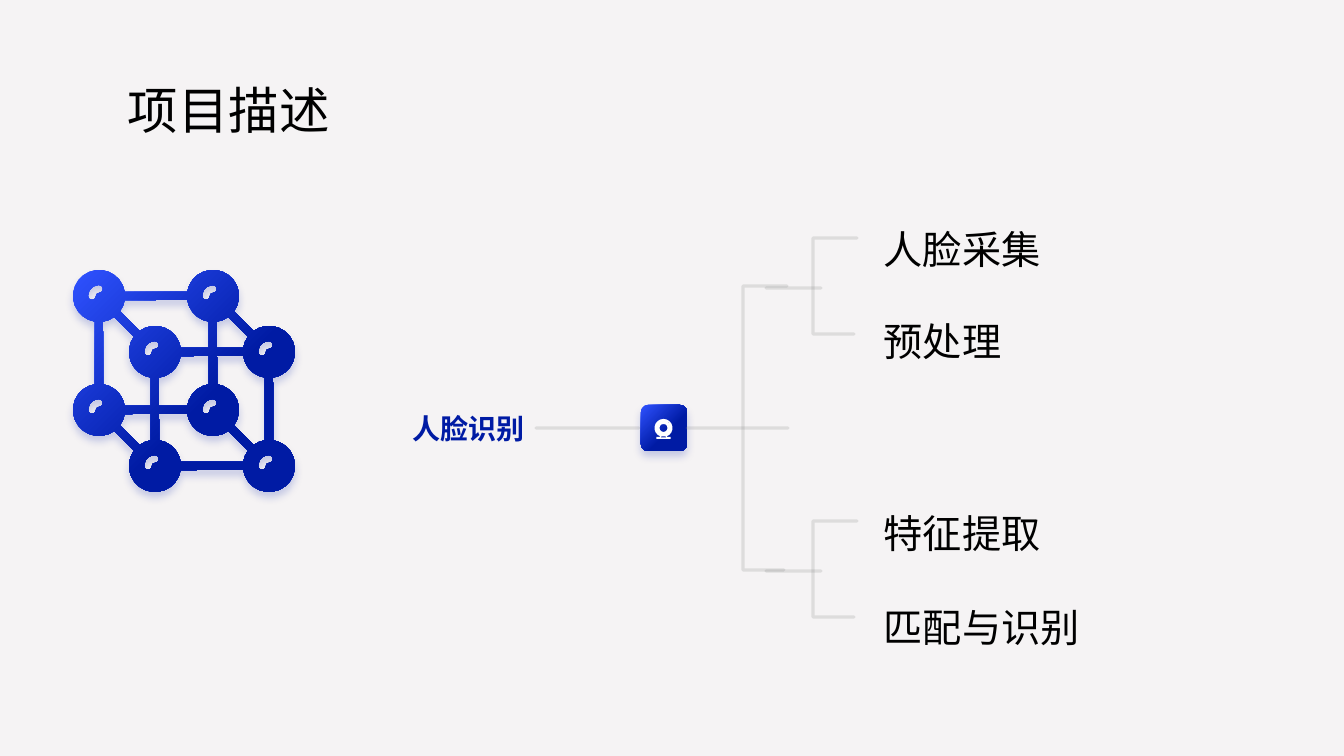
import math

import lxml.etree
import pptx
import pptx.dml.color
import pptx.enum.shapes
import pptx.enum.text
import pptx.oxml.ns
import pptx.util

SLIDE_W, SLIDE_H = 1344, 756
EMU_PER_PX = 12192000 / SLIDE_W
FONT = "Noto Sans CJK SC"
BLACK, WHITE, PAPER, GREY = "000000", "FFFFFF", "F5F3F4", "808080"
BRIGHT, DEEP = "2F52FF", "001BA4"
SHAPES = pptx.enum.shapes.MSO_SHAPE
ANCHORS = pptx.enum.text.MSO_ANCHOR
FITS = pptx.enum.text.MSO_AUTO_SIZE


def px(length):
    """Turn pixels into EMU."""
    return round(length * EMU_PER_PX)


def rgb(code):
    """Turn a hex string into a colour."""
    return pptx.dml.color.RGBColor.from_string(code)


def add_xml(parent, tag, **attributes):
    """Append a drawing element with the given attributes."""
    child = lxml.etree.SubElement(parent, pptx.oxml.ns.qn(tag))
    for key, value in attributes.items():
        child.set(key, str(value))
    return child


def stroke(item):
    """Give a shape or connector the pale round-ended tree line."""
    item.line.color.rgb = rgb(GREY)
    item.line.width = pptx.util.Pt(2.25)
    outline = item.element.spPr.find(pptx.oxml.ns.qn("a:ln"))
    outline.set("cap", "rnd")
    ink = next(outline.iter(pptx.oxml.ns.qn("a:srgbClr")))
    add_xml(ink, "a:alpha", val=20000)


def paint(shape, color):
    """Fill a shape with one colour, without outline or shadow."""
    shape.shadow.inherit = False
    shape.line.fill.background()
    shape.fill.solid()
    shape.fill.fore_color.rgb = rgb(color)


def glow(shape):
    """Fill a shape with the blue gradient and a soft blue shadow."""
    shape.shadow.inherit = False
    shape.line.fill.background()
    shape.fill.gradient()
    shape.fill.gradient_angle = 315
    for stop, color, place in zip(shape.fill.gradient_stops, (BRIGHT, DEEP), (0, 0.6)):
        stop.color.rgb = rgb(color)
        stop.position = place
    effects = shape.element.spPr.find(pptx.oxml.ns.qn("a:effectLst"))
    shadow = add_xml(effects, "a:outerShdw", blurRad=pptx.util.Pt(6),
                     dist=pptx.util.Pt(4), dir=5400000, algn="t", rotWithShape=0)
    ink = add_xml(shadow, "a:srgbClr", val=DEEP)
    add_xml(ink, "a:alpha", val=20000)


def arc(x, y, radius, start, end, step=15):
    """List points along an arc, in clockwise degrees."""
    count = max(1, math.ceil(abs(end - start) / step))
    angles = [math.radians(start + (end - start) * i / count) for i in range(count + 1)]
    return [(x + radius * math.cos(a), y + radius * math.sin(a)) for a in angles]


def add_outline(slide, contours, close=True):
    """Add one freeform made of several contours."""
    builder = None
    for contour in contours:
        corners = [(px(x), px(y)) for x, y in contour]
        if builder is None:
            builder = slide.shapes.build_freeform(*corners[0], scale=1.0)
        else:
            builder.move_to(*corners[0])
        builder.add_line_segments(corners[1:], close=close)
    return builder.convert_to_shape()


def add_bracket(slide, points):
    """Add an open grey bracket."""
    bracket = add_outline(slide, [points], close=False)
    bracket.shadow.inherit = False
    bracket.fill.background()
    stroke(bracket)


def add_stem(slide, left, right, y):
    """Add a horizontal grey connector."""
    stem = slide.shapes.add_connector(pptx.enum.shapes.MSO_CONNECTOR.STRAIGHT,
                                      px(left), px(y), px(right), px(y))
    stroke(stem)
    add_xml(stem.element.spPr, "a:effectLst")


def add_label(slide, box, text, size, color=BLACK, bold=False,
              anchor=ANCHORS.TOP, spacing=1.0, fit=FITS.SHAPE_TO_FIT_TEXT):
    """Add one line of text in a box."""
    label = slide.shapes.add_textbox(*map(px, box))
    frame = label.text_frame
    frame.word_wrap = True
    frame.auto_size = fit
    frame.vertical_anchor = anchor
    paragraph = frame.paragraphs[0]
    paragraph.line_spacing = spacing
    run = paragraph.add_run()
    run.text = text
    run.font.name = FONT
    run.font.size = pptx.util.Pt(size)
    run.font.bold = bold
    run.font.color.rgb = rgb(color)
    add_xml(run.font._element, "a:ea", typeface=FONT)


def trace_face(vertices, half_bar):
    """Outline a face of the wireframe, rounding each node it passes."""
    points = []
    for index, (x, y, radius) in enumerate(vertices):
        x_in, y_in, _ = vertices[index - 1]
        x_out, y_out, _ = vertices[(index + 1) % len(vertices)]
        spread = math.degrees(math.asin(half_bar / radius))
        start = math.degrees(math.atan2(y_in - y, x_in - x)) - spread
        end = math.degrees(math.atan2(y_out - y, x_out - x)) + spread
        points += arc(x, y, radius, start, start - round(start - end) % 360)
    return points


def draw_cube(slide, left, top, size):
    """Draw a wireframe cube with shining round nodes."""
    radius, depth, half_bar = 26, 56, 4
    near, far = radius, size - radius - depth
    spots = {"A": (near, near), "B": (far, near), "C": (far, far), "D": (near, far)}
    spots |= {name.lower(): (x + depth, y + depth) for name, (x, y) in spots.items()}
    nodes = {name: (left + x, top + y, radius) for name, (x, y) in spots.items()}
    crossings = {"X": (left + far, top + near + depth, half_bar * math.sqrt(2)),
                 "Y": (left + near + depth, top + far, half_bar * math.sqrt(2))}
    vertices = nodes | crossings
    faces = ("ADdcbB", "ABXa", "BbX", "aXCY", "AaYD", "DYd", "YCcd", "XbcC")
    contours = [trace_face([vertices[name] for name in face], half_bar) for face in faces]
    for x, y, _ in nodes.values():
        contours.append(arc(x, y, 11, 180, 270, 30) + arc(x, y - 7, 4, 270, 450, 45)
                        + arc(x, y, 3, 270, 180, 45) + arc(x - 7, y, 4, 0, 180, 45))
    glow(add_outline(slide, contours))


def draw_camera(slide, x, y):
    """Draw a white webcam around its lens centre."""
    body = arc(x, y, 9, 110, 430, 20)
    body += [(x + dx, y + dy) for dx, dy in
             ((4, 9), (7, 9), (7, 11), (-7, 11), (-7, 9), (-4, 9))]
    neck = [(x + dx, y + dy) for dx, dy in ((-2, 8.5), (-3, 9.5), (3, 9.5), (2, 8.5))]
    lens = arc(x, y, 4, 360, 0, 30)
    lamp = arc(x + 5, y - 5, 0.5, 360, 0, 90)
    paint(add_outline(slide, [body, neck, lens, lamp]), WHITE)


def draw_hub(slide, left, top, size):
    """Draw the camera badge, its name and the trunk of the tree."""
    x, y = left + size / 2, top + size / 2
    add_bracket(slide, [(left + 146, y - 142), (left + 102, y - 142),
                        (left + 102, y + 142), (left + 143, y + 142)])
    badge = slide.shapes.add_shape(SHAPES.ROUNDED_RECTANGLE, px(left), px(top),
                                   px(size), px(size))
    badge.adjustments[0] = 0.15
    glow(badge)
    draw_camera(slide, x - 0.5, y)
    add_stem(slide, left + size, left + 147, y)
    add_stem(slide, left - 105, left - 2, y)
    add_label(slide, (left - 238, top + 1, 194, 44), "人脸识别", 20, DEEP, True,
              ANCHORS.BOTTOM)


def draw_branch(slide, left, top, steps, label_rise, label_gap):
    """Draw a fork with its two steps."""
    add_stem(slide, left, left + 55, top + 50)
    add_bracket(slide, [(left + 91, top), (left + 47, top),
                        (left + 47, top + 96), (left + 88, top + 96)])
    for index, step in enumerate(steps):
        add_label(slide, (left + 108, top - label_rise + index * label_gap, 224, 82),
                  step, 28, spacing=1.5)


def main():
    """Build and save the slide."""
    deck = pptx.Presentation()
    deck.slide_width, deck.slide_height = px(SLIDE_W), px(SLIDE_H)
    slide = deck.slides.add_slide(deck.slide_layouts[6])
    backdrop = slide.shapes.add_shape(SHAPES.RECTANGLE, 0, 0, px(SLIDE_W), px(SLIDE_H))
    paint(backdrop, PAPER)
    draw_branch(slide, 766, 238, ("人脸采集", "预处理"), 41, 92)
    draw_hub(slide, 641, 405, 46)
    draw_branch(slide, 766, 521, ("特征提取", "匹配与识别"), 40, 94)
    draw_cube(slide, 73, 270, 222)
    add_label(slide, (118, 40, 1134, 146), "项目描述", 36,
              anchor=ANCHORS.MIDDLE, spacing=0.9, fit=FITS.NONE)
    deck.save("out.pptx")


if __name__ == "__main__":
    main()
